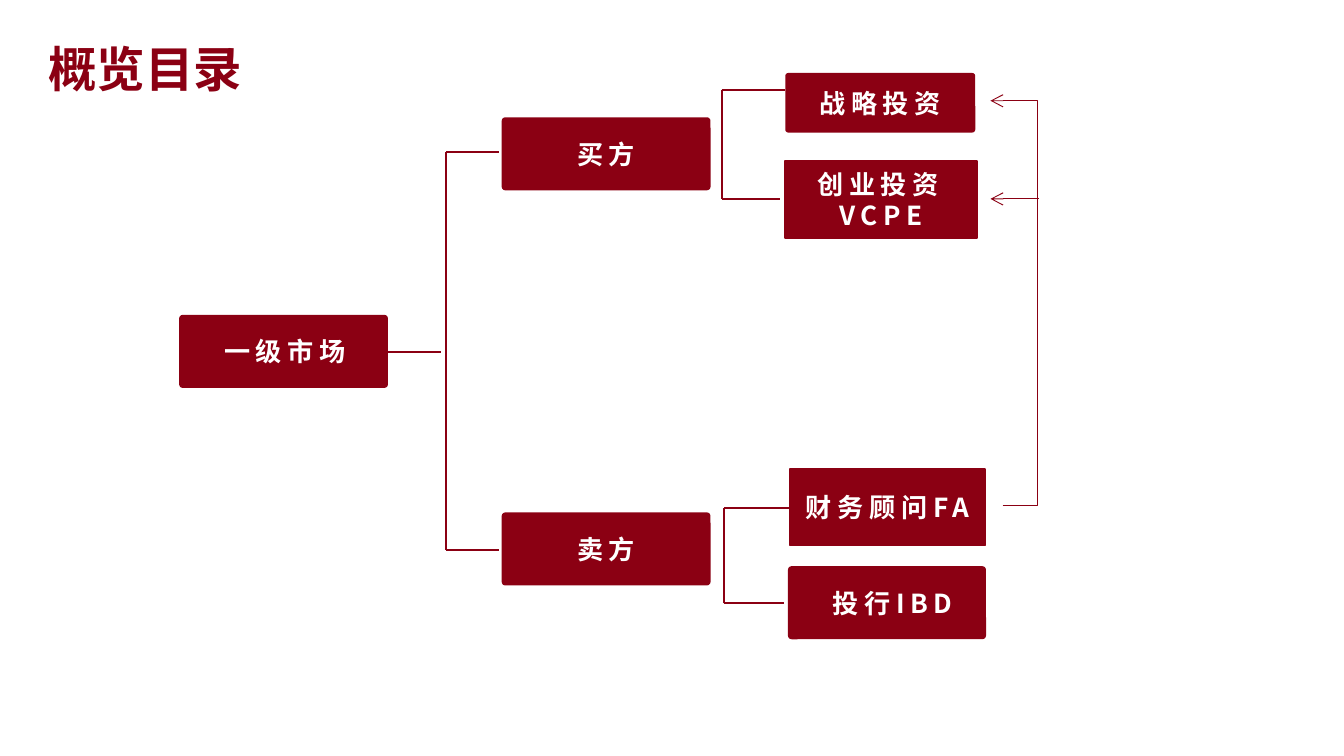
from lxml import etree
from pptx import Presentation
from pptx import util as u
from pptx.dml.color import RGBColor
from pptx.enum import shapes, text
from pptx.oxml.ns import qn

THEME = {
    "font": "Noto Sans CJK SC",
    "red": RGBColor(0x8B, 0x00, 0x13),
    "white": RGBColor(0xFF, 0xFF, 0xFF),
    "title": 26, "label": 14, "spacing": 3,
    "branch": 1, "feedback": 0.5, "radius": 0.038,
}
PAGE_WIDTH = 10
PAGE_HEIGHT = PAGE_WIDTH * 9 / 16

TITLE = ("概览目录", (0.26, 0.18, 3.7, 0.56))

# label, (left, top, width, height), rounded corners, extra left inset
NODES = [
    ("一级市场", (1.34, 2.35, 1.54, 0.53), True, 0.02),
    ("买方", (3.74, 0.88, 1.54, 0.53), True, 0),
    ("卖方", (3.74, 3.82, 1.54, 0.53), True, 0),
    ("战略投资", (5.85, 0.55, 1.4, 0.43), True, 0),
    ("创业投资VCPE", (5.84, 1.2, 1.43, 0.57), False, 0),
    ("财务顾问FA", (5.88, 3.49, 1.45, 0.57), False, 0),
    ("投行IBD", (5.87, 4.22, 1.46, 0.53), True, 0.08),
]

# spine x, then (branch y, branch right end) for the top and bottom branch
BRACKETS = [
    (3.32, (1.13, 3.71), (4.09, 3.71)),
    (5.37, (0.67, 5.84), (1.48, 5.8)),
    (5.39, (3.78, 5.88), (4.49, 5.83)),
]
ROOT_STEM = ((2.89, 2.62), (3.28, 2.62))

# feedback from the adviser to both kinds of investor
FEEDBACK_START, FEEDBACK_END = (7.46, 3.76), (7.37, 0.75)
FEEDBACK_X = 7.72
FEEDBACK_SIDE = ((7.73, 1.48), (7.37, 1.48))


def add_span(para, words, size, color, spacing=0):
    span = para.add_run()
    span.text = words
    span.font.size, span.font.bold = u.Pt(size), True
    span.font.name = THEME["font"]
    span.font.color.rgb = color
    properties = span.font._element
    etree.SubElement(properties, qn("a:ea")).set("typeface", THEME["font"])
    if spacing:
        properties.set("spc", str(spacing * 100))


def add_line(page, start, end, width, arrow=False, kind=shapes.MSO_CONNECTOR.STRAIGHT):
    line = page.shapes.add_connector(kind, *map(u.Inches, start + end))
    line.line.color.rgb = THEME["red"]
    line.line.width = u.Pt(width)
    if arrow:
        etree.SubElement(line.line._get_or_add_ln(), qn("a:tailEnd")).set("type", "arrow")
    etree.SubElement(line._element.spPr, qn("a:effectLst"))
    return line


def add_node(page, label, place, rounded, inset):
    kind = shapes.MSO_SHAPE.ROUNDED_RECTANGLE if rounded else shapes.MSO_SHAPE.RECTANGLE
    box = page.shapes.add_shape(kind, *map(u.Inches, place))
    if rounded:
        box.adjustments[0] = THEME["radius"]
    box.shadow.inherit = False
    box.fill.solid()
    box.fill.fore_color.rgb = THEME["red"]
    box.line.color.rgb = THEME["red"]
    box.line.width = u.Pt(THEME["branch"])
    frame = box.text_frame
    frame.word_wrap = True
    frame.margin_left = u.Inches(0.1 + inset)
    frame.vertical_anchor = text.MSO_ANCHOR.MIDDLE
    para = frame.paragraphs[0]
    para.alignment = text.PP_ALIGN.CENTER
    add_span(para, label, THEME["label"], THEME["white"], THEME["spacing"])


deck = Presentation()
deck.slide_width, deck.slide_height = u.Inches(PAGE_WIDTH), u.Inches(PAGE_HEIGHT)
page = deck.slides.add_slide(deck.slide_layouts[6])

# Title
words, place = TITLE
frame = page.shapes.add_textbox(*map(u.Inches, place)).text_frame
frame.word_wrap = True
frame.auto_size = text.MSO_AUTO_SIZE.SHAPE_TO_FIT_TEXT
frame.paragraphs[0].line_spacing = 1.14
add_span(frame.paragraphs[0], words, THEME["title"], THEME["red"])

# Tree branches
add_line(page, *ROOT_STEM, THEME["branch"])
for spine, *branches in BRACKETS:
    (top, _), (bottom, _) = branches
    add_line(page, (spine, bottom), (spine, top), THEME["branch"])
    for y, right in branches:
        add_line(page, (spine, y), (right, y), THEME["branch"])

# Tree nodes
for node in NODES:
    add_node(page, *node)

# Feedback arrows
elbow = add_line(page, FEEDBACK_START, FEEDBACK_END, THEME["feedback"], True,
                 shapes.MSO_CONNECTOR.ELBOW)
bend = (FEEDBACK_X - FEEDBACK_START[0]) / (FEEDBACK_END[0] - FEEDBACK_START[0])
guide = etree.SubElement(elbow._element.spPr.prstGeom.get_or_add_avLst(), qn("a:gd"))
guide.set("name", "adj1")
guide.set("fmla", f"val {round(bend * 100000)}")
add_line(page, *FEEDBACK_SIDE, THEME["feedback"], True)

deck.save("out.pptx")
